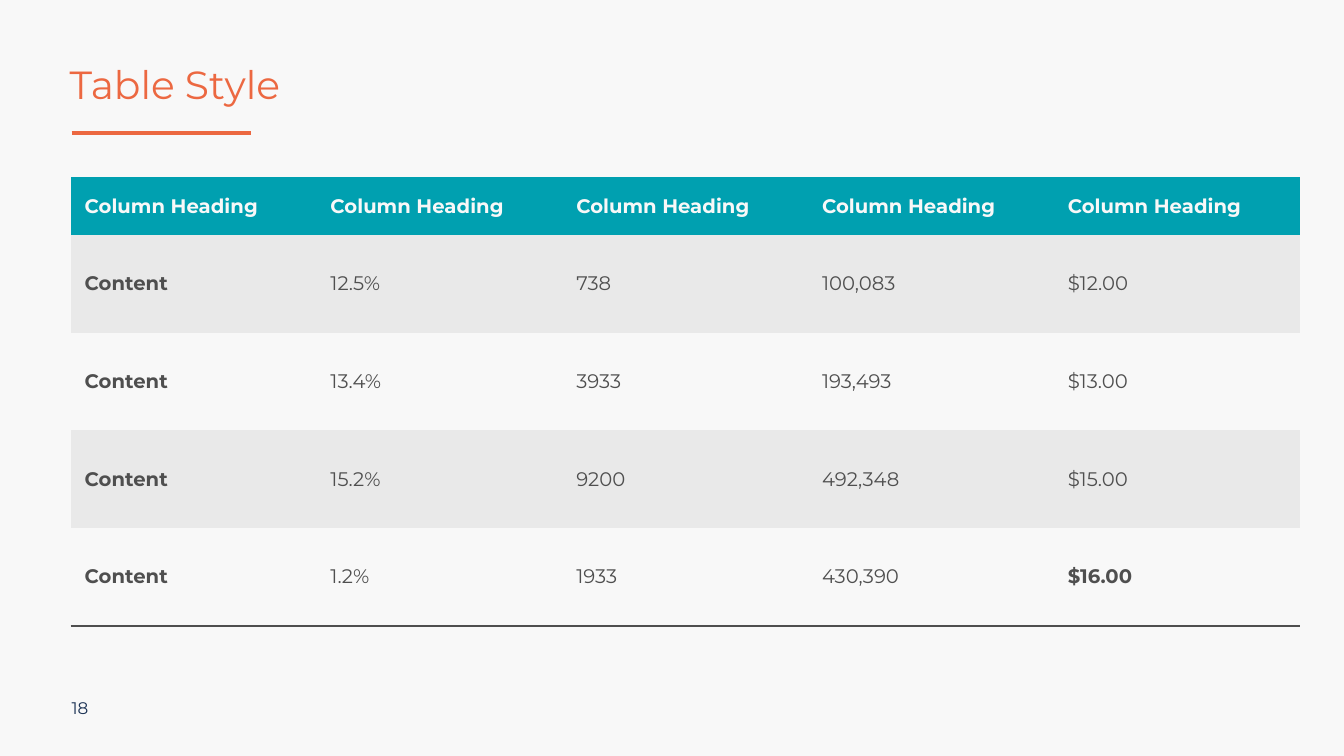
import pptx
import pptx.dml.color
import pptx.enum.shapes
import pptx.enum.text
import pptx.oxml
import pptx.oxml.ns
import pptx.util
from pptx.dml.color import RGBColor
from pptx.util import Inches

PAPER = RGBColor(0xF8, 0xF8, 0xF8)
ORANGE = RGBColor(0xEC, 0x68, 0x41)
TEAL = RGBColor(0x00, 0xA0, 0xB0)
GREY = RGBColor(0xE9, 0xE9, 0xE9)
INK = RGBColor(0x4F, 0x4F, 0x4F)
NAVY = RGBColor(0x1C, 0x33, 0x55)
MIDDLE = pptx.enum.text.MSO_ANCHOR.MIDDLE
PLAIN_TABLE_STYLE = "{2D5ABB26-0587-4C30-8999-92F81FD0307C}"

HEADING = "Column Heading"
ROWS = [
    [HEADING] * 5,
    ["Content", "12.5%", "738", "100,083", "$12.00"],
    ["Content", "13.4%", "3933", "193,493", "$13.00"],
    ["Content", "15.2%", "9200", "492,348", "$15.00"],
    ["Content", "1.2%", "1933", "430,390", "$16.00"],
]


def write(frame, text, size, color, bold=False):
    para = frame.paragraphs[0]
    span = para.add_run()
    span.text = text
    formats = {"name": "Montserrat", "size": pptx.util.Pt(size), "bold": bold}
    for name, value in formats.items():
        setattr(span.font, name, value)
    span.font.color.rgb = color
    return para


deck = pptx.Presentation()
deck.slide_width, deck.slide_height = Inches(13.33), Inches(7.5)
page = deck.slides.add_slide(deck.slide_layouts[6])
page.background.fill.solid()
page.background.fill.fore_color.rgb = PAPER

# Title rule
rule = page.shapes.add_connector(
    pptx.enum.shapes.MSO_CONNECTOR.STRAIGHT,
    Inches(0.71), Inches(1.32), Inches(2.49), Inches(1.32))
rule.line.color.rgb = ORANGE
rule.line.width = pptx.util.Pt(2.25)
rule._element.spPr.append(pptx.oxml.parse_xml(
    f"<a:effectLst {pptx.oxml.ns.nsdecls('a')}/>"))

# Title and page number
labels = [
    ("Table Style", (0.69, 0.4, 12.2, 0.92), 28, ORANGE, 0.9),
    ("18", (0.71, 6.82, 3, 0.4), 12, NAVY, 1.0),
]
for text, place, size, color, spacing in labels:
    box = page.shapes.add_textbox(*map(Inches, place))
    frame_formats = {
        "word_wrap": True, "vertical_anchor": MIDDLE, "margin_left": 0,
        "margin_top": 0, "margin_right": 0, "margin_bottom": 0,
    }
    for name, value in frame_formats.items():
        setattr(box.text_frame, name, value)
    write(box.text_frame, text, size, color).line_spacing = spacing

# Table
table_shape = page.shapes.add_table(
    len(ROWS), len(HEADING.split()) + 3,
    Inches(0.7), Inches(1.76), Inches(12.19), Inches(4.45))
table = table_shape.table
table._tbl.tblPr.find(pptx.oxml.ns.qn("a:tableStyleId")).text = PLAIN_TABLE_STYLE
cell_formats = {
    "vertical_anchor": MIDDLE,
    "margin_left": Inches(0.14), "margin_right": Inches(0.1),
    "margin_top": Inches(0.05), "margin_bottom": Inches(0.05),
}
last = len(ROWS) - 1
for row, texts in enumerate(ROWS):
    table.rows[row].height = Inches(0.97 if row else 0.57)
    fill = TEAL if row == 0 else GREY if row % 2 else PAPER
    for column, text in enumerate(texts):
        cell = table.cell(row, column)
        for name, value in cell_formats.items():
            setattr(cell, name, value)
        cell.fill.solid()
        cell.fill.fore_color.rgb = fill
        bold = row == 0 or column == 0 or text == "$16.00"
        write(cell.text_frame, text, 14, INK if row else PAPER, bold)
        if row == last:
            cell._tc.get_or_add_tcPr().insert(0, pptx.oxml.parse_xml(
                f'<a:lnB {pptx.oxml.ns.nsdecls("a")} w="{pptx.util.Pt(2)}">'
                f'<a:solidFill><a:srgbClr val="{INK}"/></a:solidFill></a:lnB>'))

deck.save("out.pptx")
